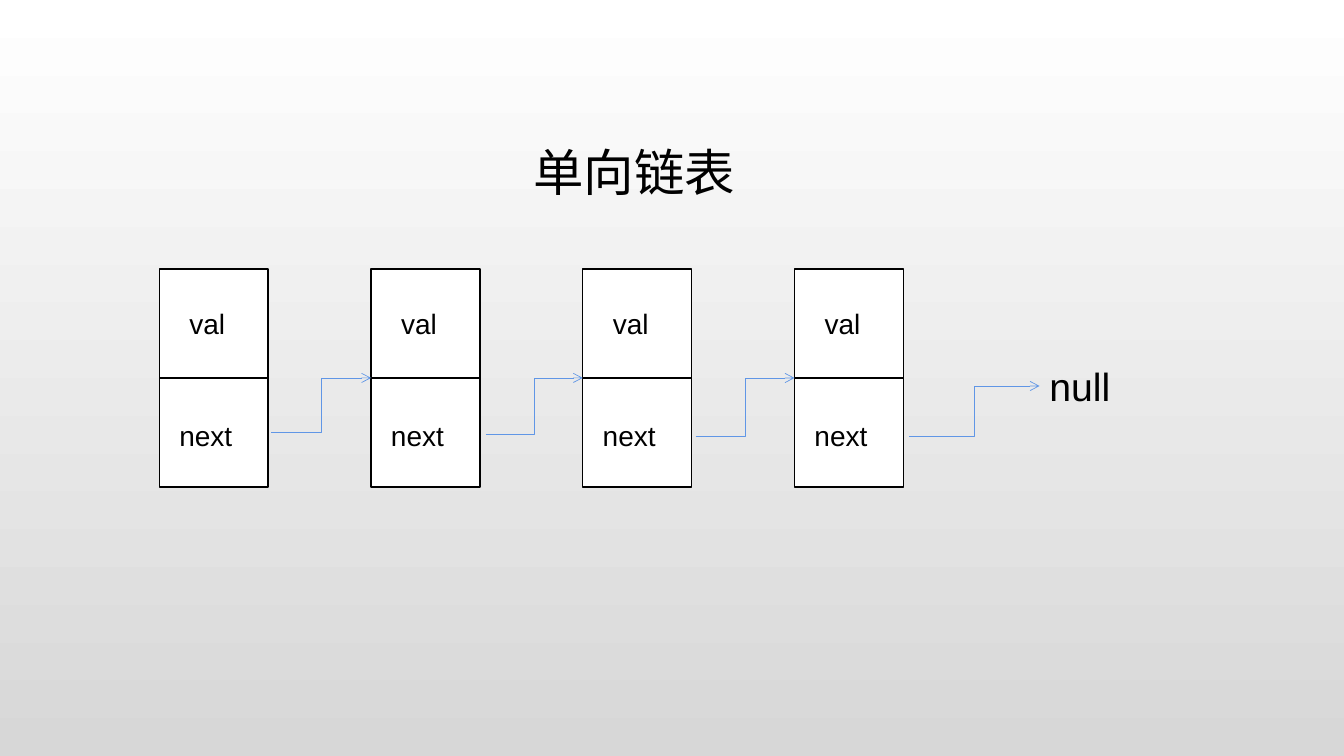
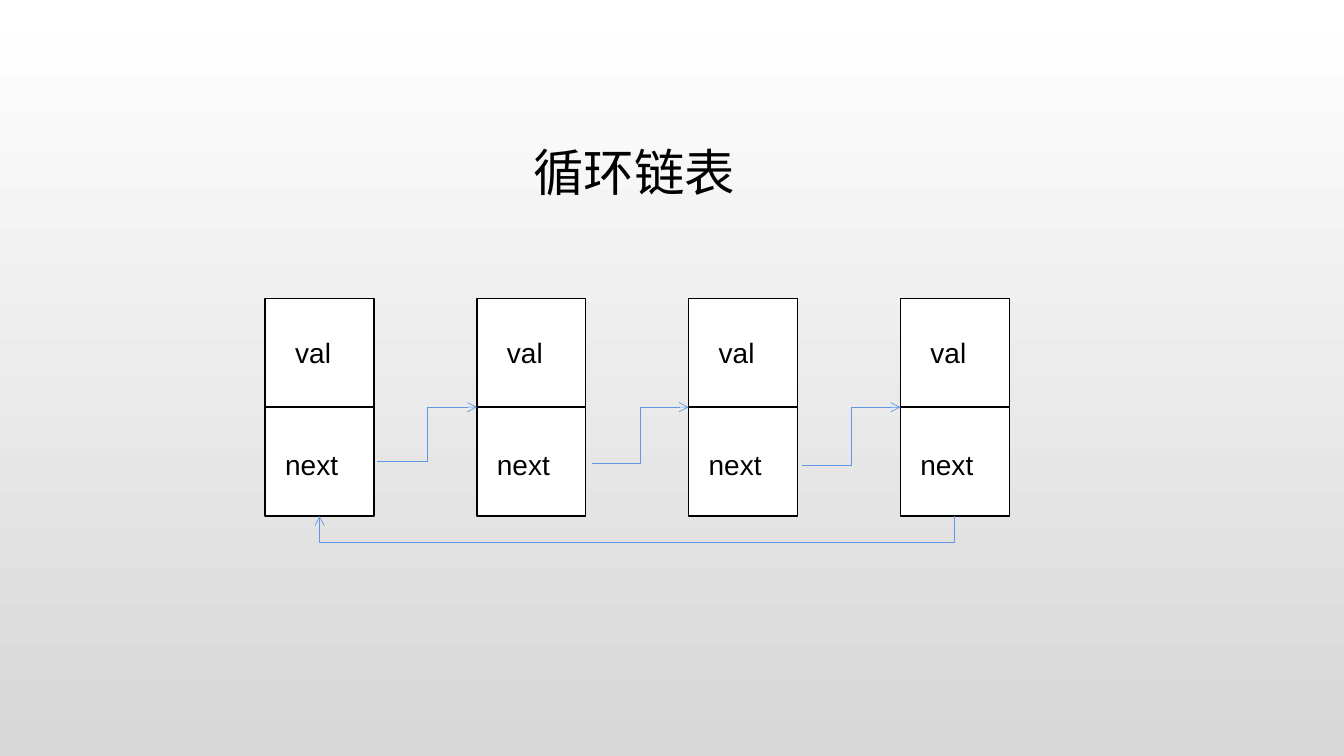
from lxml.etree import SubElement
from pptx import Presentation
from pptx.dml.color import RGBColor
from pptx.enum.shapes import MSO_CONNECTOR
from pptx.oxml.ns import qn
from pptx.util import Inches, Pt

BLACK = RGBColor(0, 0, 0)
WHITE = RGBColor(0xFF, 0xFF, 0xFF)
GREY = RGBColor(0xD7, 0xD7, 0xD7)
BLUE = RGBColor(0x60, 0x96, 0xE6)
FONT = "Arial"

SIDE = 1.08    # one cell of a node is a square
PITCH = 2.1    # from one node to the next
COUNT = 4
# start of each link: right of its node's left edge, below its middle
STARTS = [(1.11, 0.54), (1.14, 0.56), (1.12, 0.58)]


def text(slide, words, left, top, width, height, size=20, color=BLACK):
    """Add a text box with one line of words."""
    box = slide.shapes.add_textbox(
        Inches(left), Inches(top), Inches(width), Inches(height))
    box.text_frame.word_wrap = True
    run = box.text_frame.paragraphs[0].add_run()
    run.text = words
    run.font.name = FONT
    run.font.size = Pt(size)
    run.font.color.rgb = color


def arrow(shape):
    """Give a line the thin blue arrow style, with no shadow."""
    shape.line.color.rgb = BLUE
    shape.line.width = Pt(0.5)
    SubElement(shape.line._get_or_add_ln(), qn("a:tailEnd"), type="arrow")
    SubElement(shape._element.spPr, qn("a:effectLst"))


prs = Presentation()
prs.slide_width = Inches(13.33)
prs.slide_height = Inches(7.5)

back = prs.slide_master.background.fill
back.gradient()
back.gradient_angle = 270
for stop, color in zip(back.gradient_stops, (WHITE, GREY)):
    stop.color.rgb = color

lists = [("单向链表", 1.58, 2.67, False), ("循环链表", 2.63, 2.96, True)]
for title, left, top, ring in lists:
    slide = prs.slides.add_slide(prs.slide_layouts[6])
    text(slide, title, 5.19, 1.35, 2.23, 0.71, size=36)
    mid = top + SIDE
    base = mid + SIDE
    nodes = [left + PITCH * i for i in range(COUNT)]

    for x in nodes:
        pen = slide.shapes.build_freeform(Inches(x), Inches(top))
        for y in (top, mid):
            if y == mid:
                pen.move_to(Inches(x), Inches(y))
            pen.add_line_segments([
                (Inches(x + SIDE), Inches(y)),
                (Inches(x + SIDE), Inches(y + SIDE)),
                (Inches(x), Inches(y + SIDE))], close=True)
        node = pen.convert_to_shape()
        node.shadow.inherit = False
        node.fill.solid()
        node.fill.fore_color.rgb = WHITE
        node.line.color.rgb = BLACK
        node.line.width = Pt(1)
        text(slide, "val", x + 0.2, top + 0.32, 0.67, 0.44)
        text(slide, "next", x + 0.1, top + 1.43, 0.87, 0.44)

    links = [(x + dx, mid + dy, end, mid)
             for x, end, (dx, dy) in zip(nodes, nodes[1:], STARTS)]
    if not ring:
        text(slide, "null", 10.31, 3.55, 1.44, 0.57, size=28)
        links.append((9.02, 4.33, 10.31, 3.83))
    for link in links:
        arrow(slide.shapes.add_connector(
            MSO_CONNECTOR.ELBOW, *[Inches(n) for n in link]))

    if ring:
        first, last = (Inches(x + SIDE / 2) for x in (nodes[0], nodes[-1]))
        low = Inches(base + 0.26)
        pen = slide.shapes.build_freeform(last, Inches(base))
        pen.add_line_segments(
            [(last, low), (first, low), (first, Inches(base))], close=False)
        loop = pen.convert_to_shape()
        loop.fill.background()
        arrow(loop)

prs.save("out.pptx")
